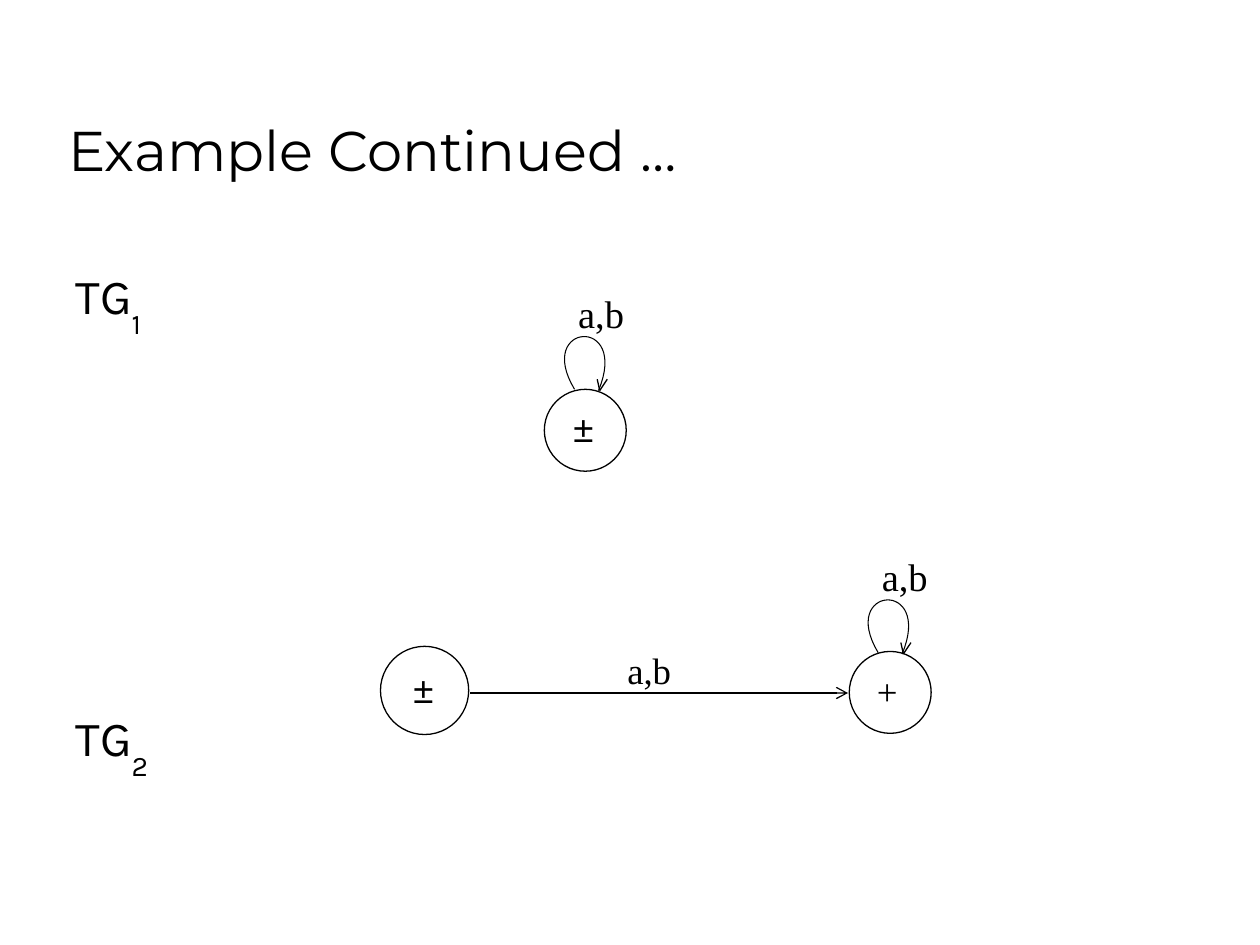
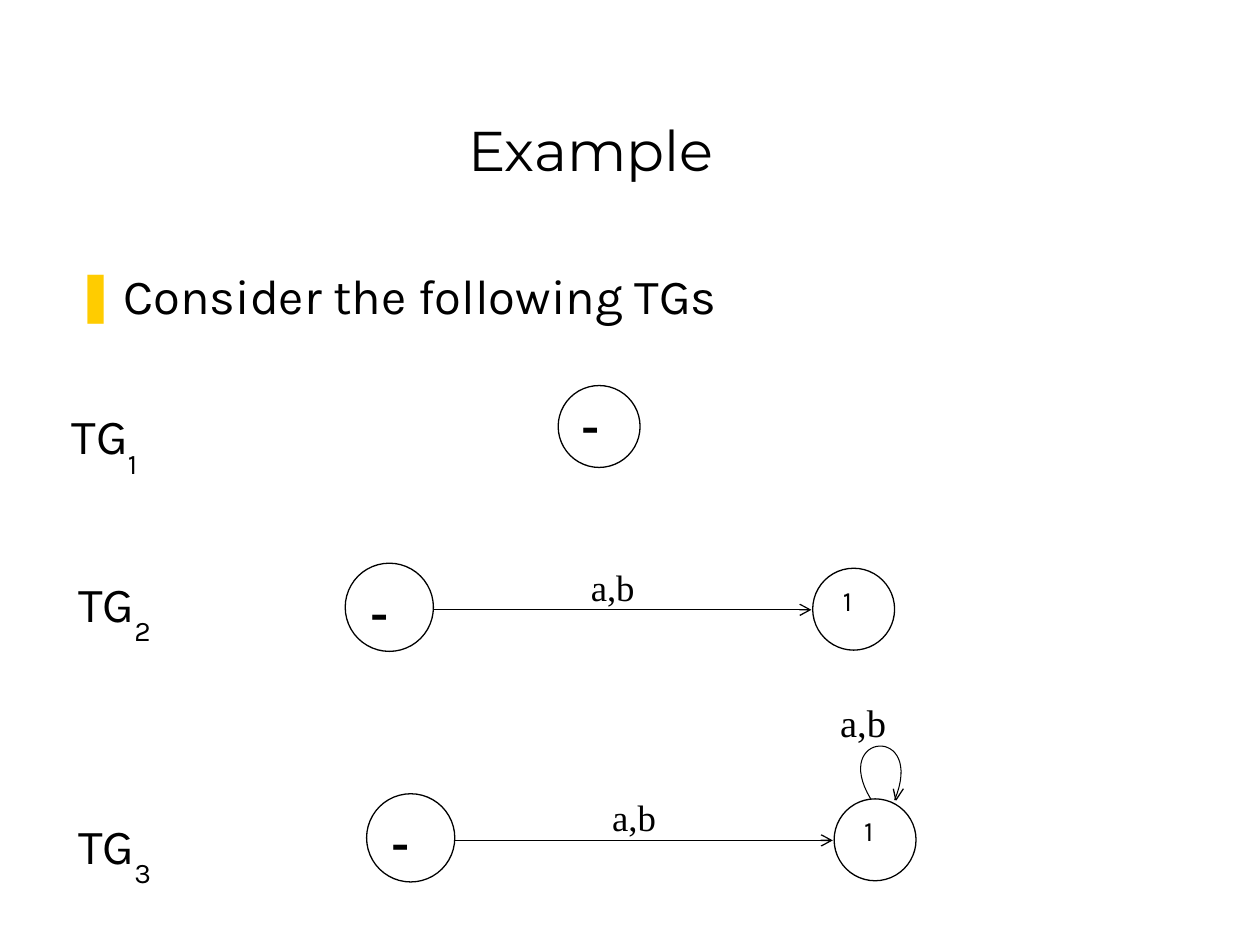
from lxml import etree
from pptx import Presentation
from pptx.dml.color import RGBColor
from pptx.enum.shapes import MSO_CONNECTOR, MSO_SHAPE
from pptx.enum.text import MSO_ANCHOR, MSO_AUTO_SIZE, PP_ALIGN
from pptx.oxml.ns import qn
from pptx.util import Inches, Pt

STRAIGHT = MSO_CONNECTOR.STRAIGHT
OVAL = MSO_SHAPE.OVAL
TOP, BOTTOM = MSO_ANCHOR.TOP, MSO_ANCHOR.BOTTOM
LEFT, CENTER = PP_ALIGN.LEFT, PP_ALIGN.CENTER
NO_FIT, GROW = MSO_AUTO_SIZE.NONE, MSO_AUTO_SIZE.SHAPE_TO_FIT_TEXT

COLORS = {"ink": "000000", "paper": "FFFFFF", "bullet": "FFCC00"}
TITLE_FONT, BODY_FONT = "Montserrat", "Karla"
EDGE_FONT, SIGN_FONT = "Times New Roman", "Arial"
START_SIZE, END_SIZE = 0.7, 0.65  # state diameters
LOOP_STEPS = 32


def color(name):
    return RGBColor.from_string(COLORS[name])


def format_span(span, font, size, bold=False):
    span.font.name = font
    span.font.size = Pt(size)
    span.font.bold = bold
    span.font.color.rgb = color("ink")


def style_line(line, width=0.75):
    line.color.rgb = color("ink")
    line.width = Pt(width)


def place(shape, left, top, width, height):
    shape.left, shape.top = Inches(left), Inches(top)
    shape.width, shape.height = Inches(width), Inches(height)


# Titles and body text
def add_page(deck, title_text, align):
    page = deck.slides.add_slide(deck.slide_layouts[1])
    title, body = page.shapes.title, page.placeholders[1]
    place(title, 0.44, 0.25, 8.5, 1.25)
    place(body, 0.5, 2.06, 8.94, 4.56)
    title.text_frame.text = title_text
    title.text_frame.vertical_anchor = BOTTOM
    para = title.text_frame.paragraphs[0]
    para.alignment = align
    format_span(para.runs[0], TITLE_FONT, 32)
    for shape in (title, body):
        shape.text_frame.auto_size = NO_FIT
    return page, body.text_frame


def set_bullet(para, char=None):
    props = para._p.get_or_add_pPr()
    hang = Inches(0.38) if char else 0
    props.set("marL", str(hang))
    props.set("indent", str(-hang))
    if char:
        bullet_color = etree.SubElement(props, qn("a:buClr"))
        etree.SubElement(bullet_color, qn("a:srgbClr")).set("val", COLORS["bullet"])
        etree.SubElement(props, qn("a:buChar")).set("char", char)
    else:
        etree.SubElement(props, qn("a:buNone"))


def write_graph_name(para, number):
    for text in ("TG", str(number)):
        span = para.add_run()
        span.text = text
        format_span(span, BODY_FONT, 28)
    span._r.get_or_add_rPr().set("baseline", "-40000")


def add_graph_name(page, number, left, top):
    box = page.shapes.add_textbox(Inches(left), Inches(top), Inches(0.82), Inches(0.69))
    box.text_frame.word_wrap = False
    box.text_frame.auto_size = GROW
    para = box.text_frame.paragraphs[0]
    para.alignment = CENTER
    write_graph_name(para, number)


# Parts of a transition graph
def add_text(page, text, left, top, width, height, font, size, bold=False):
    box = page.shapes.add_textbox(Inches(left), Inches(top), Inches(width), Inches(height))
    frame = box.text_frame
    frame.word_wrap = True
    frame.vertical_anchor = TOP
    frame.text = text
    format_span(frame.paragraphs[0].runs[0], font, size, bold)
    return frame


def add_state(page, left, top, size):
    state = page.shapes.add_shape(OVAL, Inches(left), Inches(top), Inches(size), Inches(size))
    state.shadow.inherit = False
    state.fill.solid()
    state.fill.fore_color.rgb = color("paper")
    style_line(state.line)


def add_sign(page, text, left, top, font, size, bold=False, inset=0.1):
    frame = add_text(page, text, left, top, 0.98, 0.68, font, size, bold)
    frame.margin_left = Inches(inset)
    frame.margin_top = Inches(0.23)


def add_line(page, start, end, arrow=False):
    line = page.shapes.add_connector(STRAIGHT, *map(Inches, start + end))
    style_line(line.line)
    if arrow:
        etree.SubElement(line.line._get_or_add_ln(), qn("a:tailEnd")).set("type", "arrow")
    etree.SubElement(line._element.spPr, qn("a:effectLst"))


def add_edge(page, left, y):
    """Arrow between two states, with its label above."""
    add_line(page, (left, y), (left + 3, y), arrow=True)
    add_text(page, "a,b", left + 1.15, y - 0.41, 0.65, 0.38, EDGE_FONT, 21)


def add_loop(page, x, y, label_shift=-0.07):
    """Loop that leaves a state at (x, y) and comes back on the right."""
    controls = ((x, y), (x - 0.32, y - 0.53), (x + 0.44, y - 0.59), (x + 0.19, y + 0.01))

    def curve_point(t):
        weights = ((1 - t) ** 3, 3 * t * (1 - t) ** 2, 3 * t * t * (1 - t), t ** 3)
        return tuple(Inches(sum(w * c[axis] for w, c in zip(weights, controls)))
                     for axis in (0, 1))

    points = [curve_point(step / LOOP_STEPS) for step in range(LOOP_STEPS + 1)]
    builder = page.shapes.build_freeform(*points[0])
    builder.add_line_segments(points[1:], close=False)
    loop = builder.convert_to_shape()
    loop.shadow.inherit = False
    loop.fill.background()
    style_line(loop.line, 0.6)
    tip = (x + 0.2, y + 0.01)
    for barb_x in (x + 0.18, x + 0.26):
        add_line(page, (barb_x, y - 0.08), tip)
    add_text(page, "a,b", x + label_shift, y - 0.84, 0.84, 0.56, EDGE_FONT, 22)


def add_continued_page(deck):
    page, frame = add_page(deck, "Example Continued …", LEFT)
    for number in (1, 2):
        para = frame.paragraphs[0] if number == 1 else frame.add_paragraph()
        set_bullet(para)
        write_graph_name(para, number)
    para.space_before = Pt(210)

    # TG1
    add_state(page, 4.32, 3.09, END_SIZE)
    add_sign(page, "±", 4.22, 2.99, SIGN_FONT, 21, inset=0.33)
    add_loop(page, 4.56, 3.09)

    # TG2
    add_state(page, 3.02, 5.13, START_SIZE)
    add_sign(page, "±", 3.13, 5.06, SIGN_FONT, 21, inset=0.15)
    add_edge(page, 3.73, 5.5)
    add_state(page, 6.74, 5.17, END_SIZE)
    add_sign(page, "+", 6.63, 5.08, EDGE_FONT, 21, inset=0.33)
    add_loop(page, 6.97, 5.18)


def add_example_page(deck):
    page, frame = add_page(deck, "Example", CENTER)
    para = frame.paragraphs[0]
    para.text = "Consider the following TGs"
    set_bullet(para, "❚")
    format_span(para.runs[0], BODY_FONT, 28)
    for number, left, top in ((1, 0.42, 3.17), (2, 0.5, 4.5), (3, 0.5, 6.42)):
        add_graph_name(page, number, left, top)

    # TG1
    add_state(page, 4.43, 3.06, END_SIZE)
    add_sign(page, "-", 4.52, 2.92, BODY_FONT, 28, bold=True)

    # TG2 and TG3: start state, edge, end state
    for left, top, sign_top in ((2.74, 4.47, 4.4), (2.91, 6.3, 6.23)):
        add_state(page, left, top, START_SIZE)
        add_sign(page, "-", left + 0.1, top - 0.07, BODY_FONT, 28, bold=True)
        add_edge(page, left + 0.7, top + 0.37)
        add_state(page, left + 3.71, top + 0.04, END_SIZE)
        add_sign(page, "1", left + 3.85, sign_top, BODY_FONT, 16)
    add_loop(page, 6.91, 6.34, label_shift=-0.34)


def main():
    deck = Presentation()
    deck.slide_width, deck.slide_height = Inches(10), Inches(7.5)
    add_continued_page(deck)
    add_example_page(deck)
    deck.save("out.pptx")


if __name__ == "__main__":
    main()
